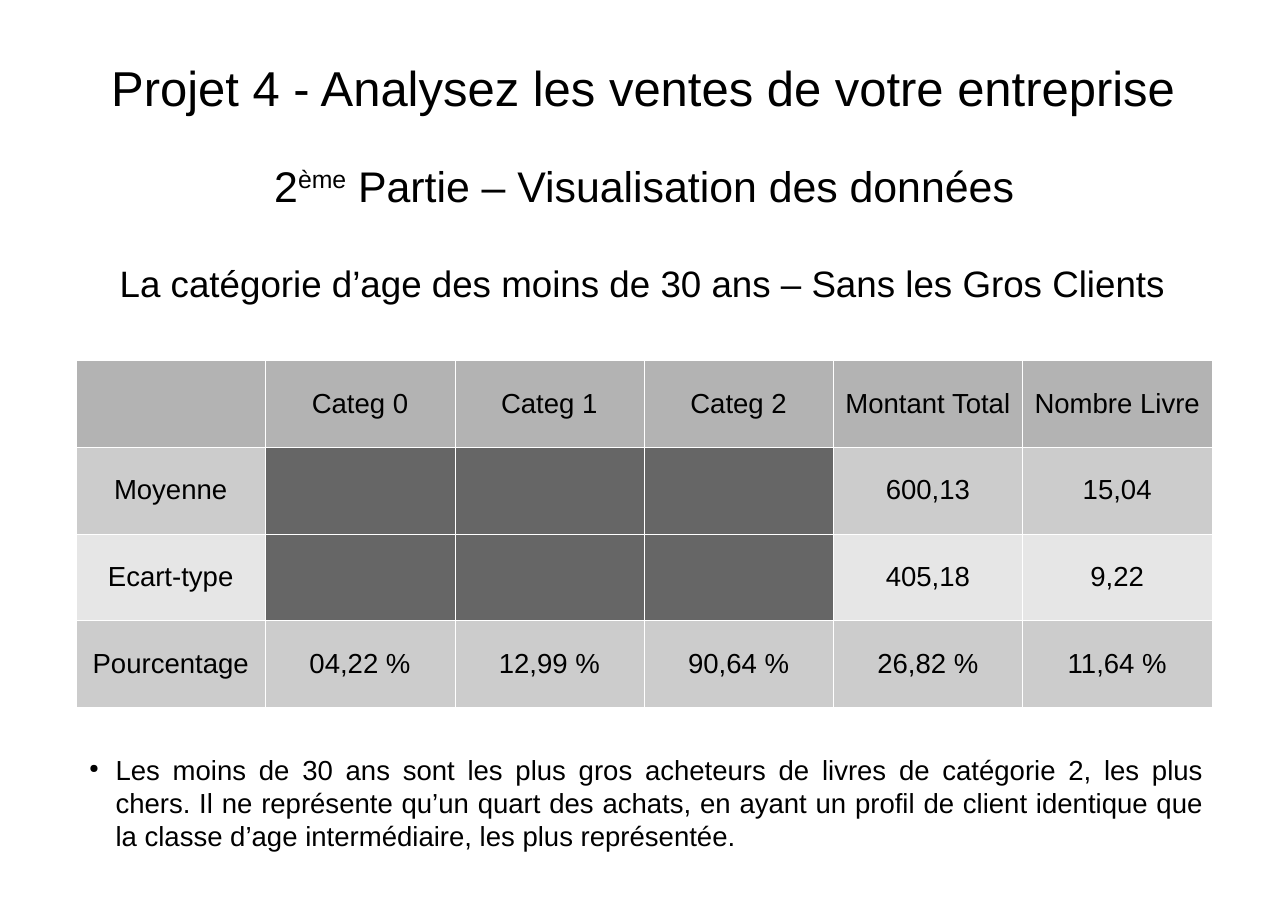
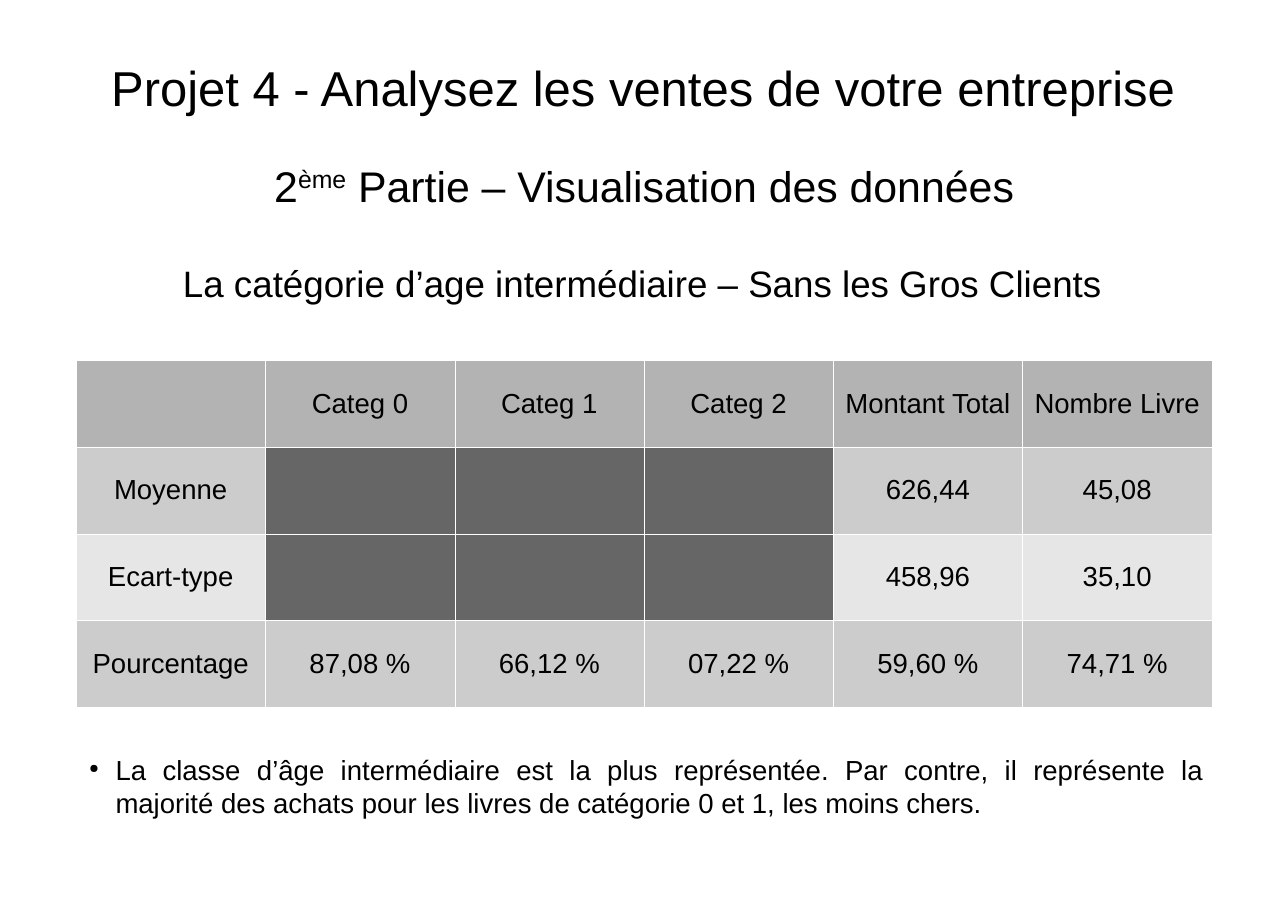
from dataclasses import dataclass

from lxml import etree
from pptx import Presentation
from pptx.dml.color import RGBColor
from pptx.enum.text import MSO_ANCHOR, PP_ALIGN
from pptx.oxml.ns import qn
from pptx.util import Inches, Pt

CENTER, JUSTIFY = PP_ALIGN.CENTER, PP_ALIGN.JUSTIFY
TOP, MIDDLE = MSO_ANCHOR.TOP, MSO_ANCHOR.MIDDLE


@dataclass(frozen=True)
class Theme:
    font: str = "Arial"
    ink: str = "000000"
    line: str = "FFFFFF"
    head: str = "B3B3B3"
    odd: str = "CCCCCC"
    even: str = "E6E6E6"
    dark: str = "666666"
    title: int = 32
    phase: int = 28
    topic: int = 24
    body: int = 18
    rule: float = 0.06


THEME = Theme()

# Boxes: left, top, width, height
TITLE_BOX = (0.94, 0.32, 9.81, 0.94)
PHASE_BOX = (0.94, 1.26, 9.81, 0.85)
TOPIC_BOX = (0.71, 2.14, 10.24, 0.85)
TABLE_BOX = (0.69, 3.27, 10.31, 3.15)
NOTE_BOX = (0.71, 6.79, 10.31, 0.94)

TITLE = "Projet 4 - Analysez les ventes de votre entreprise"
PHASE = [("2", False), ("ème", True),
         (" Partie – Visualisation des données", False)]
HEADS = ["", "Categ 0", "Categ 1", "Categ 2", "Montant Total", "Nombre Livre"]

# Each slide: topic, table rows (None is a dark cell), note
SLIDES = [
    ("La catégorie d’age des moins de 30 ans – Sans les Gros Clients",
     [["Moyenne", None, None, None, "600,13", "15,04"],
      ["Ecart-type", None, None, None, "405,18", "9,22"],
      ["Pourcentage", "04,22 %", "12,99 %", "90,64 %", "26,82 %", "11,64 %"]],
     "Les moins de 30 ans sont les plus gros acheteurs de livres de "
     "catégorie 2, les plus chers. Il ne représente qu’un quart des achats, "
     "en ayant un profil de client identique que la classe d’age "
     "intermédiaire, les plus représentée."),
    ("La catégorie d’age intermédiaire – Sans les Gros Clients",
     [["Moyenne", None, None, None, "626,44", "45,08"],
      ["Ecart-type", None, None, None, "458,96", "35,10"],
      ["Pourcentage", "87,08 %", "66,12 %", "07,22 %", "59,60 %", "74,71 %"]],
     "La classe d’âge intermédiaire est la plus représentée. Par contre, il "
     "représente la majorité des achats pour les livres de catégorie 0 et 1, "
     "les moins chers."),
]


def style(para, size, align):
    para.alignment = align
    for run in para.runs:
        run.font.name = THEME.font
        run.font.size = Pt(size)
        run.font.color.rgb = RGBColor.from_string(THEME.ink)


def add_box(slide, box, anchor, pad_x=0, pad_y=0):
    frame = slide.shapes.add_textbox(*map(Inches, box)).text_frame
    frame.word_wrap = True
    frame.vertical_anchor = anchor
    frame.margin_left = frame.margin_right = Inches(pad_x)
    frame.margin_top = frame.margin_bottom = Inches(pad_y)
    return frame


def add_head(slide, box, pieces, size):
    """Centred heading made of (text, raised) pieces."""
    para = add_box(slide, box, MIDDLE).paragraphs[0]
    for text, raised in pieces:
        run = para.add_run()
        run.text = text
        if raised:
            run._r.get_or_add_rPr().set("baseline", "33000")
    style(para, size, CENTER)


def add_edges(cell):
    props = cell._tc.get_or_add_tcPr()
    for side in ("a:lnL", "a:lnR", "a:lnT", "a:lnB"):
        edge = etree.SubElement(props, qn(side), w=str(Pt(THEME.rule)))
        fill = etree.SubElement(edge, qn("a:solidFill"))
        etree.SubElement(fill, qn("a:srgbClr"), val=THEME.line)


def add_grid(slide, box, rows):
    left, top, width, height = map(Inches, box)
    count = len(rows[0])
    table = slide.shapes.add_table(
        len(rows), count, left, top, width, height).table
    for col in table.columns:
        col.width = width // count
    for row in table.rows:
        row.height = height // len(rows)
    for i, row in enumerate(rows):
        band = THEME.head if i == 0 else THEME.odd if i % 2 else THEME.even
        for j, text in enumerate(row):
            cell = table.cell(i, j)
            add_edges(cell)
            cell.fill.solid()
            cell.fill.fore_color.rgb = RGBColor.from_string(
                THEME.dark if text is None else band)
            cell.vertical_anchor = MIDDLE
            if text:
                cell.text_frame.text = text
                style(cell.text_frame.paragraphs[0], THEME.body, CENTER)


def add_note(slide, box, text):
    """Justified paragraph with a small round bullet."""
    para = add_box(slide, box, TOP, 0.1, 0.05).paragraphs[0]
    para.text = text
    props = para._p.get_or_add_pPr()
    props.set("marL", str(Inches(0.24)))
    props.set("indent", str(Inches(-0.24)))
    color = etree.SubElement(props, qn("a:buClr"))
    etree.SubElement(color, qn("a:srgbClr"), val=THEME.ink)
    etree.SubElement(props, qn("a:buSzPct"), val="45000")
    etree.SubElement(props, qn("a:buChar"), char="●")
    style(para, THEME.body, JUSTIFY)


def add_page(deck, topic, rows, note):
    slide = deck.slides.add_slide(deck.slide_layouts[6])
    add_grid(slide, TABLE_BOX, [HEADS] + rows)
    add_head(slide, TITLE_BOX, [(TITLE, False)], THEME.title)
    add_head(slide, PHASE_BOX, PHASE, THEME.phase)
    add_head(slide, TOPIC_BOX, [(topic, False)], THEME.topic)
    add_note(slide, NOTE_BOX, note)


def main():
    deck = Presentation()
    deck.slide_width, deck.slide_height = Inches(11.69), Inches(8.27)
    for page in SLIDES:
        add_page(deck, *page)
    deck.save("out.pptx")


if __name__ == "__main__":
    main()
